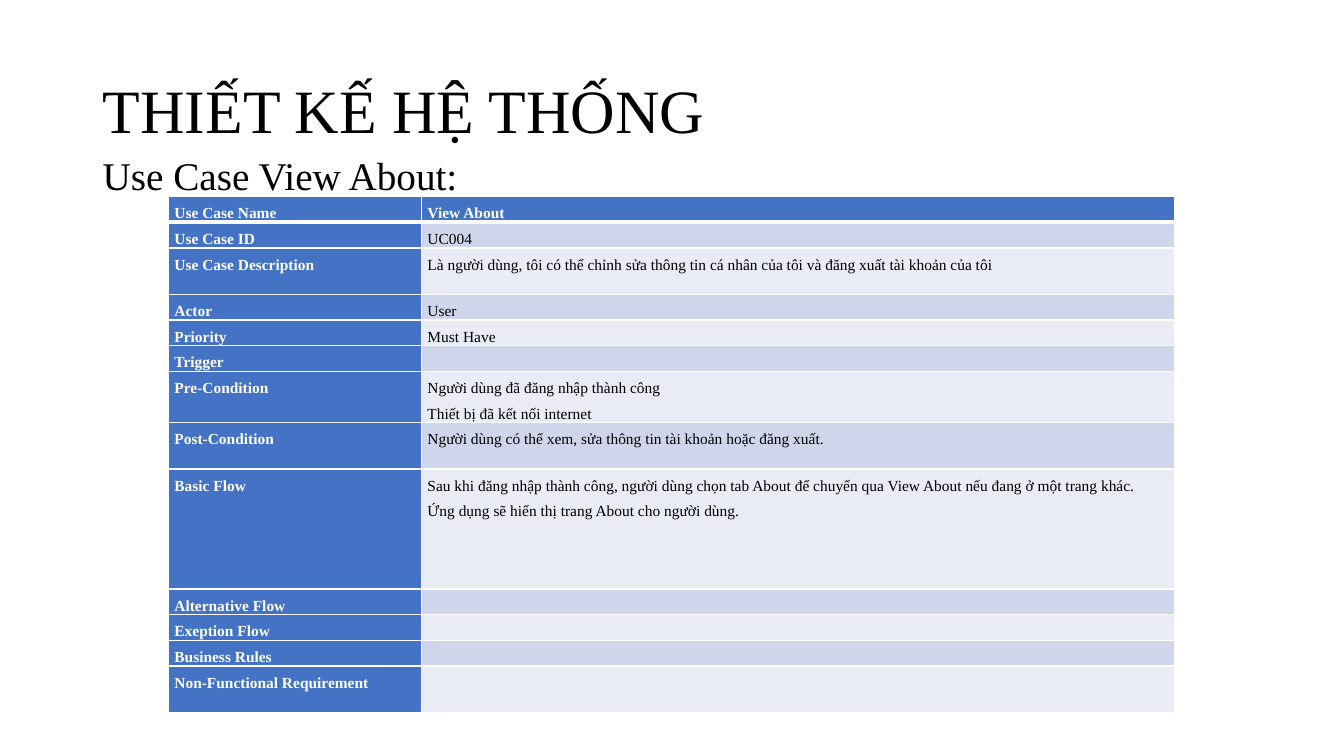
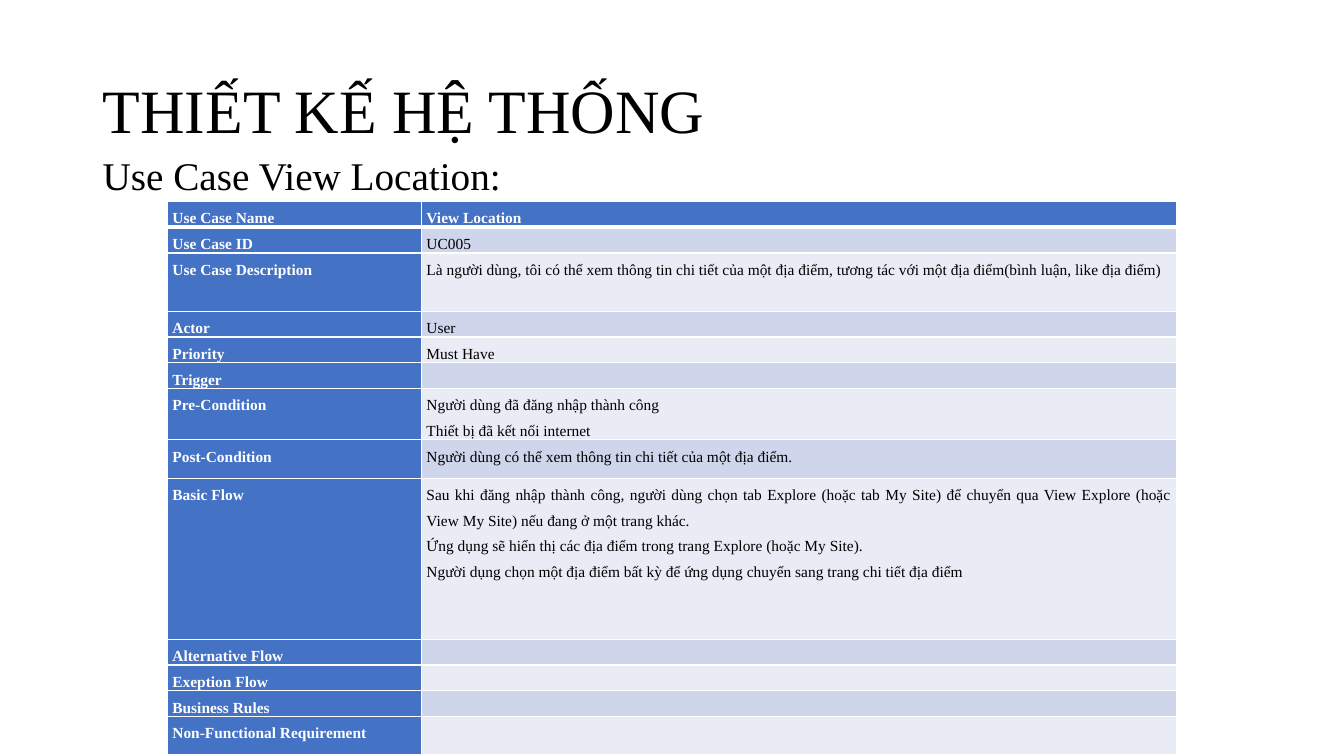
from lxml.etree import SubElement
from pptx import Presentation
from pptx.dml.color import RGBColor
from pptx.enum.text import MSO_ANCHOR, PP_ALIGN
from pptx.oxml.ns import qn
from pptx.util import Emu, Pt

EMU_PER_PX = 9144  # 100 px to the inch
FONT = "Times New Roman"
BLACK = RGBColor(0x00, 0x00, 0x00)
WHITE = RGBColor(0xFF, 0xFF, 0xFF)
BLUE = RGBColor(0x44, 0x72, 0xC4)
BANDS = (RGBColor(0xE9, 0xEB, 0xF5), RGBColor(0xCF, 0xD5, 0xEA))

TITLE = "THIẾT KẾ HỆ THỐNG"
TITLE_BOX = (92, 40, 1150, 145)
SUBTITLE_BOX = (92, 150, 1150, 55)
HEADING_SPACING = 0.9
TABLE_SIZE = 11
TABLE_LINE = Pt(18.3)  # exact, so that rows keep their height
THIN, THICK = 1, 3

FIELDS = (
    "Use Case Name", "Use Case ID", "Use Case Description", "Actor",
    "Priority", "Trigger", "Pre-Condition", "Post-Condition", "Basic Flow",
    "Alternative Flow", "Exeption Flow", "Business Rules",
    "Non-Functional Requirement",
)
# Fields that are the same in every use case
COMMON_VALUES = {
    "Actor": ["User"],
    "Priority": ["Must Have"],
    "Pre-Condition": [
        "Người dùng đã đăng nhập thành công",
        "Thiết bị đã kết nối internet",
    ],
}

USE_CASES = (
    {
        "position": (167, 195),
        "columns": (251, 747),
        "inset": 6,
        "tall_rows": {
            "Use Case Description": 46, "Pre-Condition": 51,
            "Post-Condition": 46, "Basic Flow": 119,
            "Non-Functional Requirement": 46,
        },
        "values": {
            "Use Case Name": ["View About"],
            "Use Case ID": ["UC004"],
            "Use Case Description": [
                "Là người dùng, tôi có thể chỉnh sửa thông tin cá nhân của tôi "
                "và đăng xuất tài khoản của tôi",
            ],
            "Post-Condition": [
                "Người dùng có thể xem, sửa thông tin tài khoản hoặc đăng xuất.",
            ],
            "Basic Flow": [
                "Sau khi đăng nhập thành công, người dùng chọn tab About để "
                "chuyển qua View About nếu đang ở một trang khác.",
                "Ứng dụng sẽ hiển thị trang About cho người dùng.",
            ],
        },
    },
    {
        "position": (166, 200),
        "columns": (252, 749),
        "inset": 5,
        "tall_rows": {
            "Use Case Description": 58, "Pre-Condition": 51,
            "Post-Condition": 38, "Basic Flow": 160,
            "Non-Functional Requirement": 38,
        },
        "values": {
            "Use Case Name": ["View Location"],
            "Use Case ID": ["UC005"],
            "Use Case Description": [
                "Là người dùng, tôi có thể xem thông tin chi tiết của một địa "
                "điểm, tương tác với một địa điểm(bình luận, like địa điểm)",
            ],
            "Post-Condition": [
                "Người dùng có thể xem thông tin chi tiết của một địa điểm.",
            ],
            "Basic Flow": [
                "Sau khi đăng nhập thành công, người dùng chọn tab Explore "
                "(hoặc tab My Site) để chuyển qua View Explore (hoặc View My "
                "Site) nếu đang ở một trang khác.",
                "Ứng dụng sẽ hiển thị các địa điểm trong trang Explore "
                "(hoặc My Site).",
                "Người dụng chọn một địa điểm bất kỳ để ứng dụng chuyển sang "
                "trang chi tiết địa điểm",
            ],
        },
    },
)
ROW_HEIGHT = 25


def px(length):
    return Emu(length * EMU_PER_PX)


def add_run(paragraph, text, size, color=BLACK, bold=False):
    run = paragraph.add_run()
    run.text = text
    run.font.name = FONT
    run.font.size = Pt(size)
    run.font.bold = bold
    run.font.color.rgb = color


def add_title(slide):
    title = slide.shapes.title
    title.left, title.top, title.width, title.height = map(px, TITLE_BOX)
    title.text_frame.vertical_anchor = MSO_ANCHOR.MIDDLE
    paragraph = title.text_frame.paragraphs[0]
    paragraph.alignment = PP_ALIGN.LEFT
    paragraph.line_spacing = HEADING_SPACING
    add_run(paragraph, TITLE, 44)


def add_subtitle(slide, text):
    frame = slide.shapes.add_textbox(*map(px, SUBTITLE_BOX)).text_frame
    frame.word_wrap = True
    paragraph = frame.paragraphs[0]
    paragraph.line_spacing = HEADING_SPACING
    add_run(paragraph, text, 28)


def set_borders(cell, top, bottom):
    """Draw white borders; top and bottom are widths in points."""
    properties = cell._tc.get_or_add_tcPr()
    widths = {"a:lnL": THIN, "a:lnR": THIN, "a:lnT": top, "a:lnB": bottom}
    for tag, width in widths.items():
        line = SubElement(properties, qn(tag), w=str(Pt(width)))
        fill = SubElement(line, qn("a:solidFill"))
        SubElement(fill, qn("a:srgbClr"), val=str(WHITE))


def fill_cell(cell, lines, inset, fill, color, bold):
    cell.margin_left = cell.margin_right = px(inset)
    cell.margin_top = cell.margin_bottom = 0
    cell.fill.solid()
    cell.fill.fore_color.rgb = fill
    frame = cell.text_frame
    for index, text in enumerate(lines):
        paragraph = frame.add_paragraph() if index else frame.paragraphs[0]
        paragraph.alignment = PP_ALIGN.JUSTIFY
        paragraph.line_spacing = TABLE_LINE
        add_run(paragraph, text, TABLE_SIZE, color, bold)
    if not lines:
        # Keeps an empty cell from stretching its row
        SubElement(frame.paragraphs[0]._p, qn("a:endParaRPr"),
                   sz=str(TABLE_SIZE * 100))


def add_use_case_table(slide, use_case):
    heights = [use_case["tall_rows"].get(field, ROW_HEIGHT)
               for field in FIELDS]
    columns = use_case["columns"]
    box = (*use_case["position"], sum(columns), sum(heights))
    table = slide.shapes.add_table(
        len(FIELDS), len(columns), *map(px, box)).table
    table.first_row = table.horz_banding = False
    for column, width in zip(table.columns, columns):
        column.width = px(width)

    values = COMMON_VALUES | use_case["values"]
    for index, (field, height) in enumerate(zip(FIELDS, heights)):
        table.rows[index].height = px(height)
        label, value = table.cell(index, 0), table.cell(index, 1)
        for cell in (label, value):
            set_borders(cell, top=THICK if index == 1 else THIN,
                        bottom=THICK if index == 0 else THIN)
        header = (BLUE, WHITE, True)
        body = (BANDS[index % 2], BLACK, False)
        fill_cell(label, [field], use_case["inset"], *header)
        fill_cell(value, values.get(field, []), use_case["inset"],
                  *(body if index else header))


def main():
    presentation = Presentation()
    presentation.slide_width, presentation.slide_height = px(1333), px(750)
    for use_case in USE_CASES:
        slide = presentation.slides.add_slide(presentation.slide_layouts[5])
        add_title(slide)
        name = use_case["values"]["Use Case Name"][0]
        add_subtitle(slide, f"Use Case {name}:")
        add_use_case_table(slide, use_case)
    presentation.save("out.pptx")


if __name__ == "__main__":
    main()
